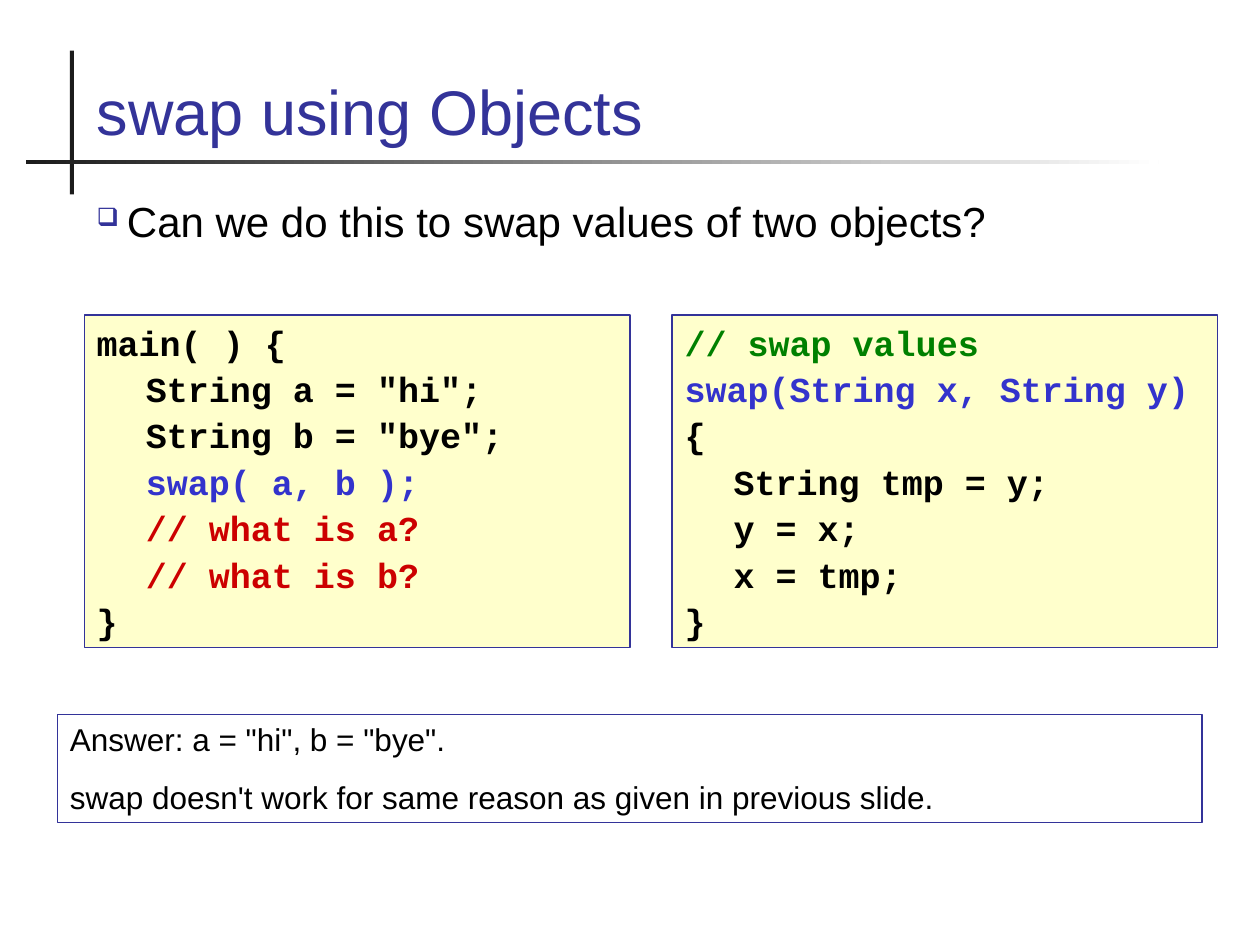
from lxml import etree
from pptx import Presentation
from pptx import util as u
from pptx.dml.color import RGBColor
from pptx.enum import shapes, text
from pptx.oxml import ns

INK = RGBColor(0x1C, 0x1C, 0x1C)
WHITE = RGBColor(0xFF, 0xFF, 0xFF)
NAVY = RGBColor(0x33, 0x33, 0x99)
CREAM = RGBColor(0xFF, 0xFF, 0xCC)
BLACK = RGBColor(0, 0, 0)
BLUE = RGBColor(0x33, 0x33, 0xCC)
RED = RGBColor(0xCC, 0, 0)
GREEN = RGBColor(0, 0x80, 0)

TITLE = [("swap using Objects", NAVY)]
QUESTION = [("Can we do this to swap values of two objects?", BLACK)]
CODE_BLOCKS = [
    [
        ("main( ) {", BLACK),
        ("\tString a = \"hi\";", BLACK),
        ("\tString b = \"bye\";", BLACK),
        ("\tswap( a, b );", BLUE),
        ("\t// what is a?", RED),
        ("\t// what is b?", RED),
        ("}", BLACK),
    ],
    [
        ("// swap values", GREEN),
        ("swap(String x, String y)", BLUE),
        ("{", BLACK),
        ("\tString tmp = y;", BLACK),
        ("\ty = x;", BLACK),
        ("\tx = tmp;", BLACK),
        ("}", BLACK),
    ],
]
ANSWER = [
    ("Answer: a = \"hi\", b = \"bye\".", BLACK),
    ("swap doesn't work for same reason as given in previous slide.", BLACK),
]

TITLE_FONT = {"name": "Arial", "size": u.Pt(36)}
QUESTION_FONT = {"name": "Arial", "size": u.Pt(24)}
CODE_FONT = {"name": "Courier New", "size": u.Pt(20), "bold": True}
ANSWER_FONT = {"name": "Arial", "size": u.Pt(18)}

LEFT, CODE_TOP = 1.7, 6.35
CODE_WIDTH, CODE_HEIGHT, CODE_GAP = 11, 6.7, 0.85
INDENT = 0.61


def centimetres(*lengths):
    return [u.Cm(length) for length in lengths]


def add_element(parent, tag, **attributes):
    return etree.SubElement(parent, ns.qn(tag), attributes)


def add_bar(page, place):
    bar = page.shapes.add_shape(shapes.MSO_SHAPE.RECTANGLE, *centimetres(*place))
    bar.shadow.inherit = False
    bar.line.fill.background()
    return bar


def add_panel(page, place, fill=None):
    panel = page.shapes.add_shape(shapes.MSO_SHAPE.RECTANGLE, *centimetres(*place))
    panel.shadow.inherit = False
    panel.line.color.rgb = NAVY
    panel.line.width = u.Pt(0.75)
    if fill is None:
        panel.fill.background()
    else:
        panel.fill.solid()
        panel.fill.fore_color.rgb = fill
    return panel


def add_bullet(para):
    properties = para._p.get_or_add_pPr()
    properties.set("marL", str(u.Cm(INDENT)))
    properties.set("indent", str(-u.Cm(INDENT)))
    color = add_element(properties, "a:buClr")
    add_element(color, "a:srgbClr", val=str(NAVY))
    add_element(properties, "a:buSzPct", val="60000")
    add_element(properties, "a:buChar", char="❑")


def add_tab_stop(para):
    stops = add_element(para._p.get_or_add_pPr(), "a:tabLst")
    add_element(stops, "a:tab", pos=str(u.Cm(0.99)), algn="l")


def write_lines(box, lines, font, gap=0, anchor=text.MSO_ANCHOR.TOP, bullet=False):
    frame = box.text_frame
    frame.word_wrap = True
    frame.vertical_anchor = anchor
    for index, (line, color) in enumerate(lines):
        para = frame.add_paragraph() if index else frame.paragraphs[0]
        para.alignment = text.PP_ALIGN.LEFT
        if index:
            para.space_before = u.Pt(gap)
        if bullet:
            add_bullet(para)
        if line.startswith("\t"):
            add_tab_stop(para)
        span = para.add_run()
        span.text = line
        for name, value in font.items():
            setattr(span.font, name, value)
        span.font.color.rgb = color


def main():
    deck = Presentation()
    deck.slide_width, deck.slide_height = centimetres(25.4, 19.05)
    page = deck.slides.add_slide(deck.slide_layouts[6])

    upright = add_bar(page, (1.41, 1.02, 0.08, 2.9))
    upright.fill.solid()
    upright.fill.fore_color.rgb = INK

    rule = add_bar(page, (0.53, 3.22, 22.83, 0.08))
    rule.fill.gradient()
    rule.fill.gradient_angle = 0
    for stop, color in zip(rule.fill.gradient_stops, (INK, WHITE)):
        stop.color.rgb = color

    title = page.shapes.add_textbox(*centimetres(LEFT, 0.71, 22, 2.41))
    write_lines(title, TITLE, TITLE_FONT, anchor=text.MSO_ANCHOR.BOTTOM)

    question = page.shapes.add_textbox(*centimetres(LEFT, 3.81, 22, 1.7))
    write_lines(question, QUESTION, QUESTION_FONT, bullet=True)

    for column, lines in enumerate(CODE_BLOCKS):
        left = LEFT + column * (CODE_WIDTH + CODE_GAP)
        panel = add_panel(page, (left, CODE_TOP, CODE_WIDTH, CODE_HEIGHT), CREAM)
        write_lines(panel, lines, CODE_FONT, gap=2.5)

    answer = add_panel(page, (1.16, 14.4, 23.07, 2.18))
    write_lines(answer, ANSWER, ANSWER_FONT, gap=11.2)

    deck.save("out.pptx")


if __name__ == "__main__":
    main()
